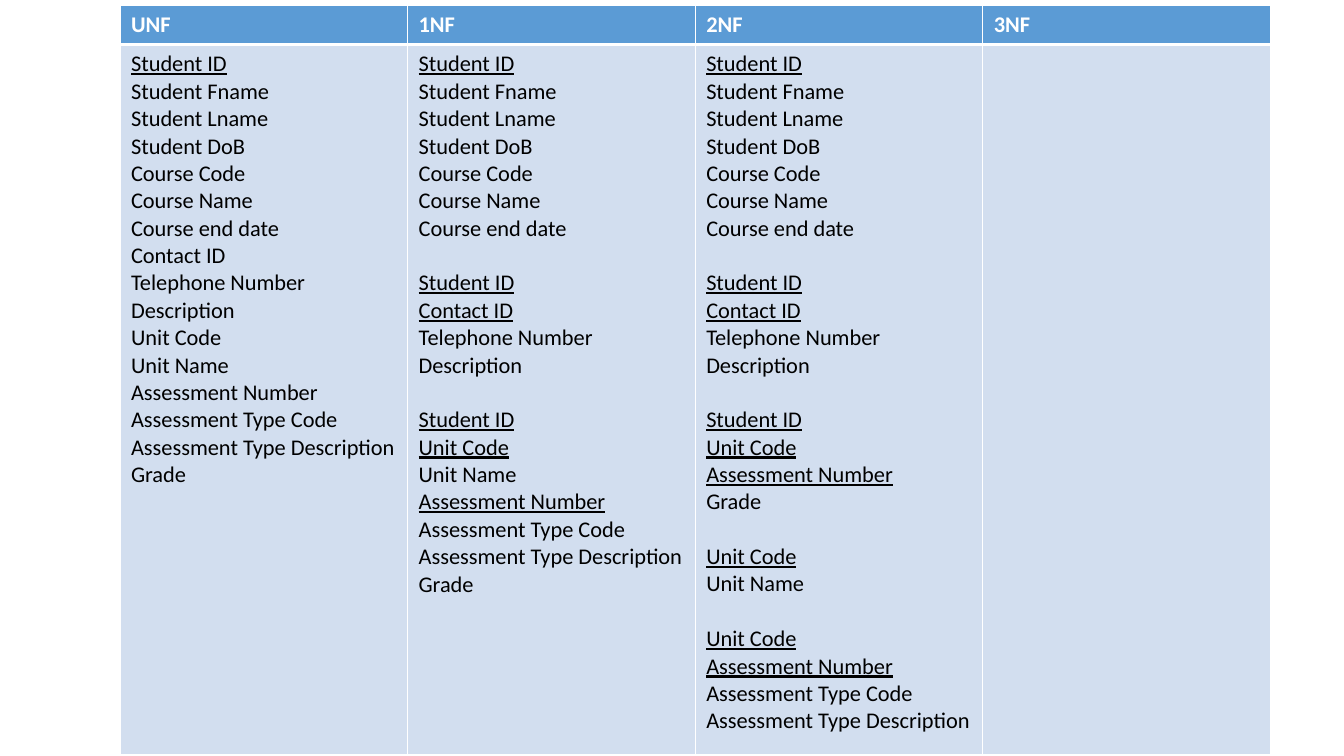
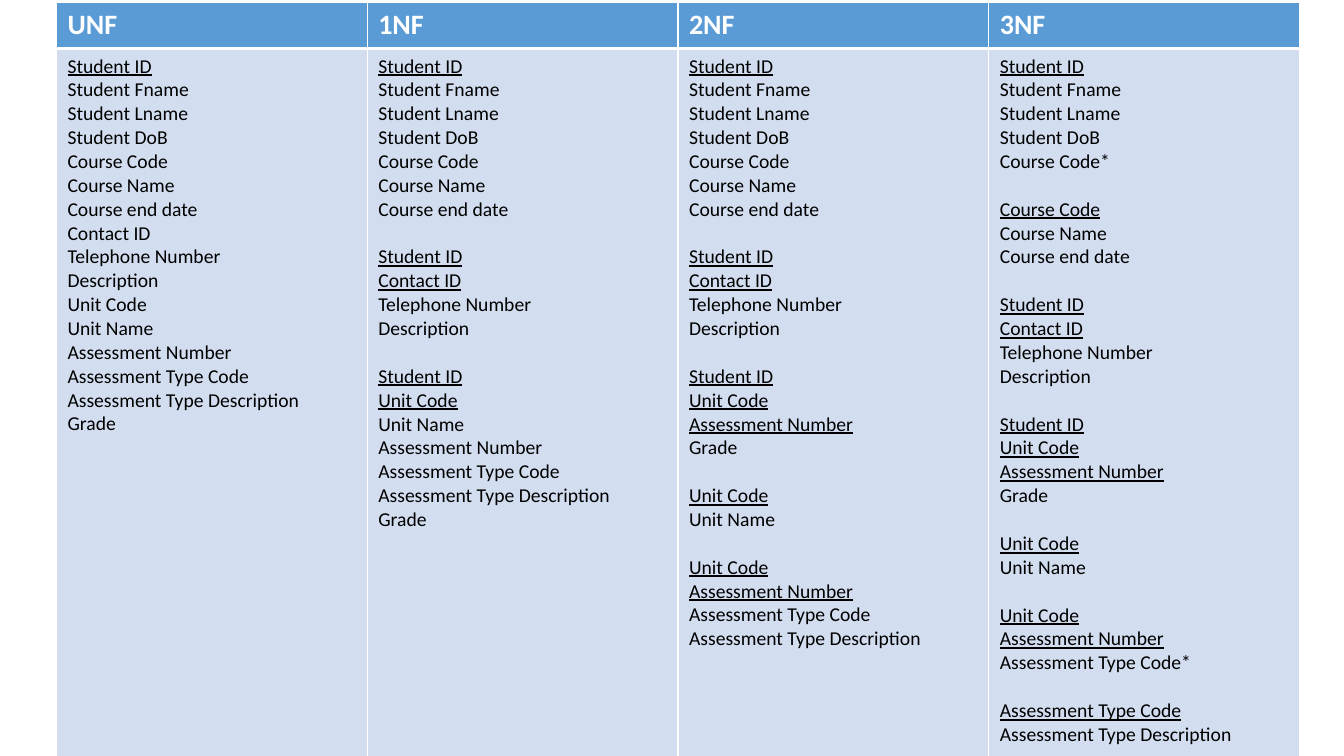
from dataclasses import dataclass

from lxml import etree
from pptx import Presentation, util as u
from pptx.dml import color
from pptx.oxml import ns


@dataclass(frozen=True)
class Theme:
    font: str = "Calibri"
    header_fill: str = "5B9BD5"
    body_fill: str = "D2DEEF"
    header_text: str = "FFFFFF"
    body_text: str = "000000"
    border: str = "FFFFFF"
    thin: float = 1
    thick: float = 3
    inset_x: float = 0.11
    inset_y: float = 0.06
    line_height: float = 1.22


@dataclass(frozen=True)
class Relation:
    keys: tuple
    fields: tuple


def relation(keys, *others):
    return Relation(keys, keys + others)


STUDENT = ("Student ID",)
UNIT = ("Unit Code",)
ASSESSMENT = ("Assessment Number",)
NAMES = ("Student Fname", "Student Lname", "Student DoB")
COURSE = ("Course Name", "Course end date")
PHONE = ("Telephone Number", "Description")
TYPE = ("Assessment Type Code", "Assessment Type Description")
UNIT_DETAILS = ("Unit Name",) + ASSESSMENT + TYPE + ("Grade",)

student = relation(STUDENT, *NAMES, "Course Code", *COURSE)
contact = relation(STUDENT + ("Contact ID",), *PHONE)
grade = relation(STUDENT + UNIT + ASSESSMENT, "Grade")
unit = relation(UNIT, "Unit Name")

unnormalised = [
    relation(STUDENT, *student.fields[1:], "Contact ID", *PHONE, *UNIT, *UNIT_DETAILS)
]
second_form = [student, contact, grade, unit, relation(UNIT + ASSESSMENT, *TYPE)]
third_form = [
    relation(STUDENT, *NAMES, "Course Code*"),
    relation(("Course Code",), *COURSE),
    contact,
    grade,
    unit,
    relation(UNIT + ASSESSMENT, "Assessment Type Code*"),
    relation(TYPE[:1], *TYPE[1:]),
]


def first_form(unit_keys):
    return [student, contact, Relation(unit_keys, STUDENT + UNIT + UNIT_DETAILS)]


class Deck:
    def __init__(self, theme):
        self.theme = theme
        self.presentation = Presentation()
        self.presentation.slide_width = u.Inches(13.33)
        self.presentation.slide_height = u.Inches(7.5)
        self.slide = None

    def add_slide(self):
        self.slide = self.presentation.slides.add_slide(self.presentation.slide_layouts[6])

    def add_forms_table(self, left, top, width, row_heights, sizes, forms):
        shape = self.slide.shapes.add_table(
            2, len(forms), u.Inches(left), u.Inches(top),
            u.Inches(width), u.Inches(sum(row_heights)))
        table = shape.table
        for row, height in zip(table.rows, row_heights):
            row.height = u.Inches(height)
        header_size, body_size = sizes
        for index, (name, relations) in enumerate(forms.items()):
            table.columns[index].width = u.Inches(width / len(forms))
            header, body = table.cell(0, index), table.cell(1, index)
            self.style_cell(header, self.theme.header_fill, self.theme.thin, self.theme.thick)
            self.style_cell(body, self.theme.body_fill, self.theme.thick, self.theme.thin)
            header.text_frame.text = name
            self.style_text(header.text_frame.paragraphs[0], header_size,
                            self.theme.header_text, bold=True)
            self.fill_relations(body.text_frame, relations, body_size)

    def fill_relations(self, text_frame, relations, size):
        text_frame.text = "\n".join(field for item in relations for field in item.fields)
        paragraphs = iter(text_frame.paragraphs)
        for number, item in enumerate(relations):
            for position, field in enumerate(item.fields):
                paragraph = next(paragraphs)
                self.style_text(paragraph, size, self.theme.body_text,
                                underline=field in item.keys)
                if number and position == 0:
                    paragraph.space_before = u.Pt(round(size * self.theme.line_height, 1))

    def style_text(self, paragraph, size, text_color, bold=False, underline=False):
        for run in paragraph.runs:
            run.font.name = self.theme.font
            run.font.size = u.Pt(size)
            run.font.bold = bold
            run.font.underline = underline
            run.font.color.rgb = color.RGBColor.from_string(text_color)

    def style_cell(self, cell, fill, top, bottom):
        cell.margin_left = cell.margin_right = u.Inches(self.theme.inset_x)
        cell.margin_top = cell.margin_bottom = u.Inches(self.theme.inset_y)
        properties = cell._tc.get_or_add_tcPr()
        widths = {"lnL": self.theme.thin, "lnR": self.theme.thin, "lnT": top, "lnB": bottom}
        for side, points in widths.items():
            line = etree.SubElement(properties, ns.qn(f"a:{side}"), w=str(u.Pt(points)))
            solid = etree.SubElement(line, ns.qn("a:solidFill"))
            etree.SubElement(solid, ns.qn("a:srgbClr"), val=self.theme.border)
        cell.fill.solid()
        cell.fill.fore_color.rgb = color.RGBColor.from_string(fill)


def main():
    deck = Deck(Theme())
    deck.add_slide()
    deck.add_forms_table(1.19, 0.05, 11.41, (0.39, 7.04), (16, 16), {
        "UNF": unnormalised,
        "1NF": first_form(STUDENT + UNIT + ASSESSMENT),
        "2NF": second_form,
        "3NF": [],
    })
    deck.add_slide()
    deck.add_forms_table(0.56, 0.02, 12.33, (0.45, 7.05), (20, 14), {
        "UNF": unnormalised,
        "1NF": first_form(STUDENT + UNIT),
        "2NF": second_form,
        "3NF": third_form,
    })
    deck.presentation.save("out.pptx")


if __name__ == "__main__":
    main()
